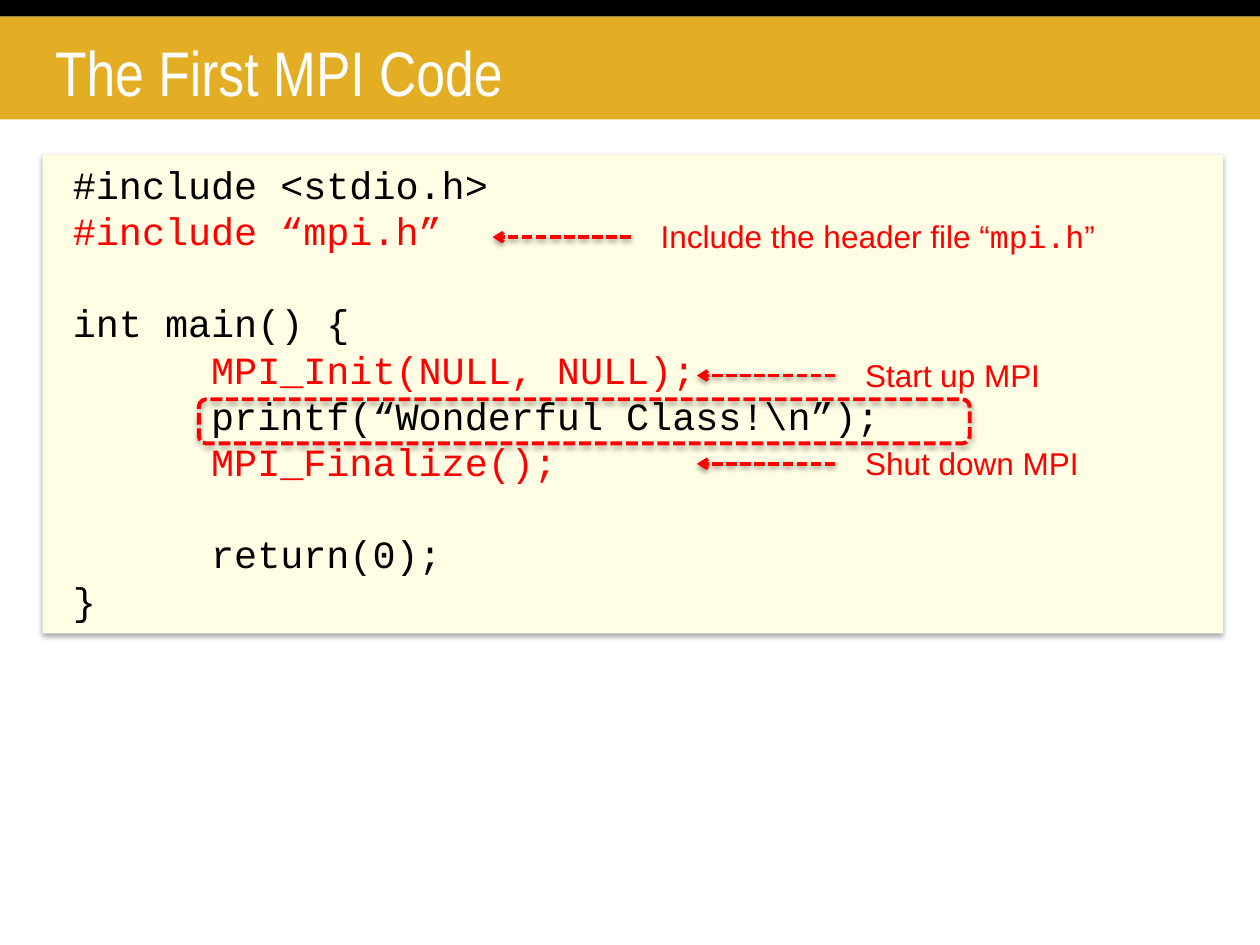
from lxml import etree
from pptx import Presentation
from pptx import util as u
from pptx.dml.color import RGBColor
from pptx.enum import dml, shapes, text
from pptx.oxml import ns

GOLD = RGBColor(0xE3, 0xAE, 0x24)
CREAM = RGBColor(0xFF, 0xFD, 0xE4)
BLACK = RGBColor(0, 0, 0)
WHITE = RGBColor(255, 255, 255)
RED = RGBColor(255, 0, 0)
CODE_FONT = "Courier New"
NOTE_FONT = "Arial"
TITLE_FONT = "Arial Narrow"
CODE_SIZE = 22
LINE_HEIGHT = 26.4


class SlideBuilder:
    def __init__(self, slide):
        self.slide = slide

    def effects(self, shape, opacity=None, distance=1.8):
        effect_list = etree.SubElement(shape._element.spPr, ns.qn("a:effectLst"))
        if opacity is None:
            return
        shadow = etree.SubElement(
            effect_list, ns.qn("a:outerShdw"), blurRad=str(u.Pt(3.1)),
            dist=str(u.Pt(distance)), dir="5400000", rotWithShape="0")
        color = etree.SubElement(shadow, ns.qn("a:srgbClr"), val=str(BLACK))
        etree.SubElement(color, ns.qn("a:alpha"), val=str(opacity * 1000))

    def dashed_line(self, line, width):
        line.color.rgb = RED
        line.width = u.Pt(width)
        line.dash_style = dml.MSO_LINE.SQUARE_DOT

    def panel(self, left, top, width, height, color, opacity=None):
        shape = self.slide.shapes.add_shape(
            shapes.MSO_SHAPE.RECTANGLE,
            u.Cm(left), u.Cm(top), u.Cm(width), u.Cm(height))
        shape.fill.solid()
        shape.fill.fore_color.rgb = color
        shape.line.fill.background()
        self.effects(shape, opacity)

    def highlight(self, left, top, width, height):
        shape = self.slide.shapes.add_shape(
            shapes.MSO_SHAPE.ROUNDED_RECTANGLE,
            u.Cm(left), u.Cm(top), u.Cm(width), u.Cm(height))
        shape.fill.background()
        self.dashed_line(shape.line, 2.25)
        self.effects(shape, 35)

    def text_frame(self, left, top, width, height, wrap=True):
        box = self.slide.shapes.add_textbox(
            u.Cm(left), u.Cm(top), u.Cm(width), u.Cm(height))
        box.text_frame.word_wrap = wrap
        return box.text_frame

    def run(self, paragraph, words, font, size, color):
        run = paragraph.add_run()
        run.text = words
        run.font.name = font
        run.font.size = u.Pt(size)
        run.font.color.rgb = color

    def title(self, words):
        frame = self.text_frame(0.86, 0.48, 21.54, 1.93)
        frame.vertical_anchor = text.MSO_ANCHOR.MIDDLE
        self.run(frame.paragraphs[0], words, TITLE_FONT, 36, WHITE)

    def code(self, left, top, width, height, lines):
        frame = self.text_frame(left, top, width, height)
        for index, (words, color, gap_lines) in enumerate(lines):
            paragraph = frame.add_paragraph() if index else frame.paragraphs[0]
            paragraph.line_spacing = u.Pt(LINE_HEIGHT)
            if gap_lines:
                paragraph.space_before = u.Pt(LINE_HEIGHT * gap_lines)
            self.run(paragraph, words, CODE_FONT, CODE_SIZE, color)

    def arrow(self, left, middle, length):
        connector = self.slide.shapes.add_connector(
            shapes.MSO_CONNECTOR.STRAIGHT,
            u.Cm(left + length), u.Cm(middle), u.Cm(left), u.Cm(middle))
        self.dashed_line(connector.line, 2)
        etree.SubElement(connector.line._get_or_add_ln(), ns.qn("a:tailEnd"), type="arrow")
        self.effects(connector, 38, 1.6)

    def callout(self, left, middle, width, runs):
        arrow_length = 2.79
        self.arrow(left, middle, arrow_length)
        frame = self.text_frame(left + arrow_length + 0.35, middle - 0.52, width, 1.02, False)
        for words, font in runs:
            self.run(frame.paragraphs[0], words, font, 18, RED)


def main():
    presentation = Presentation()
    presentation.slide_width = u.Cm(25.4)
    presentation.slide_height = u.Cm(19.05)
    builder = SlideBuilder(presentation.slides.add_slide(presentation.slide_layouts[6]))

    builder.panel(0, 0.33, 25.4, 2.08, GOLD)
    builder.panel(0, 0, 25.4, 0.33, BLACK)
    builder.title("The First MPI Code")
    builder.panel(0.86, 3.12, 23.8, 9.65, CREAM, 35)
    builder.code(1.22, 3.12, 21.79, 9.65, [
        ("#include <stdio.h>", BLACK, 0),
        ("#include “mpi.h”", RED, 0),
        ("int main() {", BLACK, 1),
        ("      MPI_Init(NULL, NULL);", RED, 0),
        ("      printf(“Wonderful Class!\\n”);", BLACK, 0),
        ("      MPI_Finalize();", RED, 0),
        ("      return(0);", BLACK, 1),
        ("}", BLACK, 0),
    ])

    for left, middle, width, runs in [
        (9.93, 4.78, 9.35, [("Include the header file “", NOTE_FONT),
                            ("mpi.h", CODE_FONT), ("”", NOTE_FONT)]),
        (14.05, 7.57, 4.06, [("Start up MPI", NOTE_FONT)]),
        (14.05, 9.35, 4.85, [("Shut down MPI", NOTE_FONT)]),
    ]:
        builder.callout(left, middle, width, runs)
    builder.highlight(4.01, 8.05, 15.54, 0.89)

    presentation.save("out.pptx")


if __name__ == "__main__":
    main()
